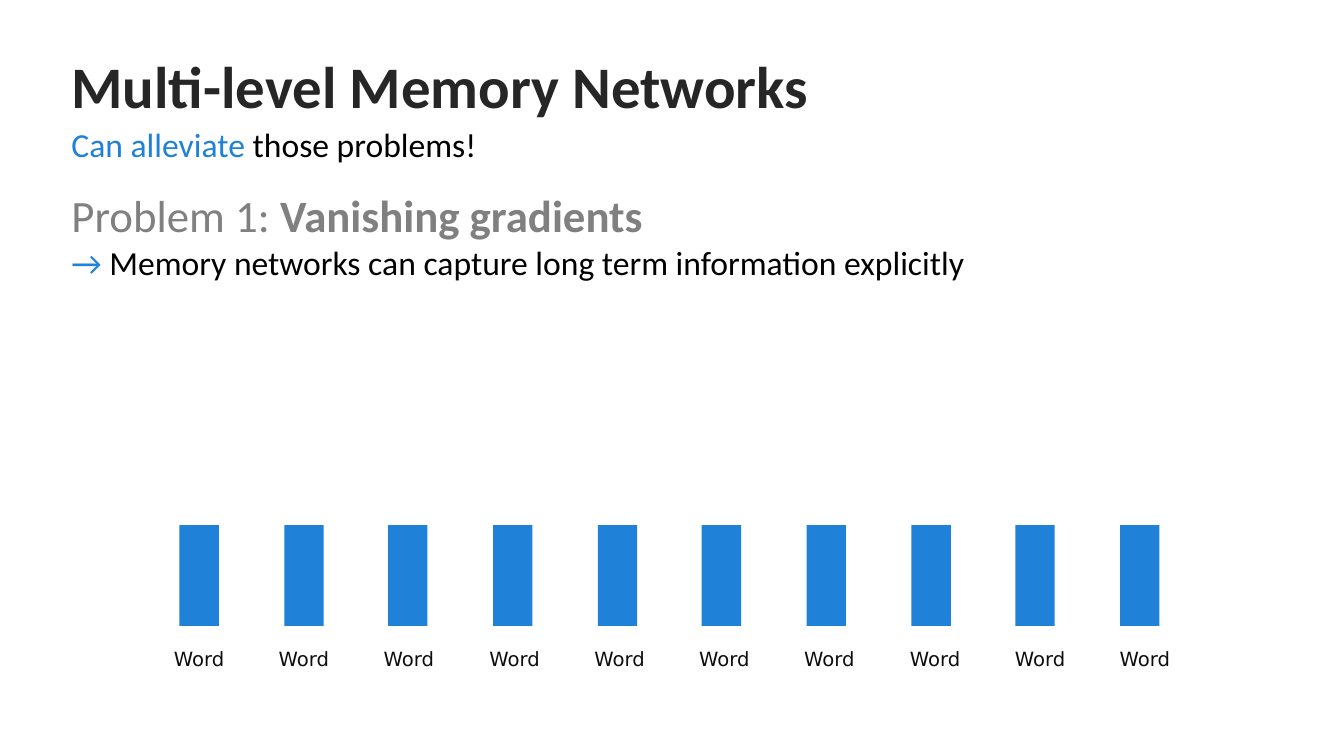
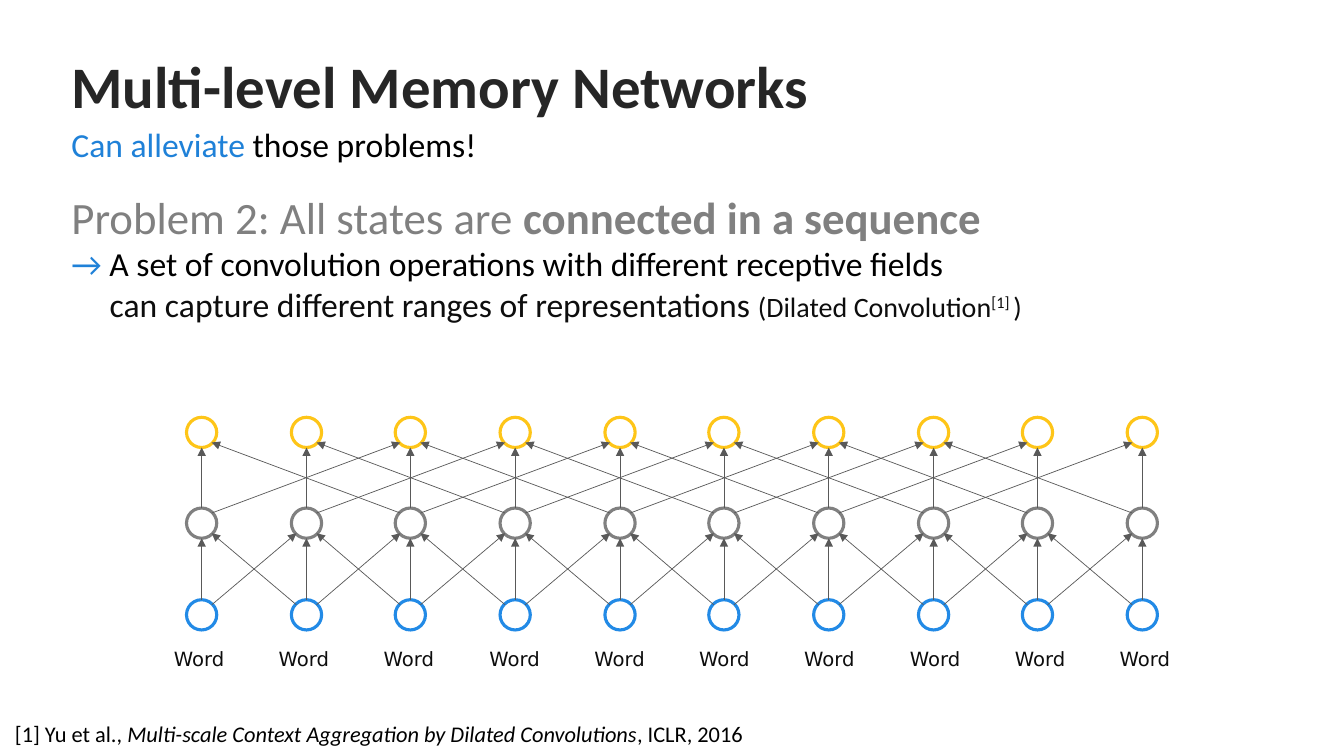
from dataclasses import dataclass

from lxml import etree
from pptx import Presentation
from pptx import util as u
from pptx.dml.color import RGBColor
from pptx.enum import shapes, text
from pptx.oxml.ns import qn

PX = 9144
COLUMNS = 10


@dataclass(frozen=True)
class Theme:
    body_font: str = "Calibri"
    label_font: str = "DejaVu Sans"
    title: str = "262626"
    heading: str = "808080"
    blue: str = "1F81D8"
    black: str = "000000"
    ink: str = "0D0D0D"
    white: str = "FFFFFF"
    input_ring: str = "228AE6"
    hidden_ring: str = "808080"
    output_ring: str = "FEC518"
    arrow: str = "595959"
    title_size: int = 42
    heading_size: int = 32
    body_size: int = 24
    aside_size: int = 20
    note_size: int = 16
    label_size: int = 14
    ring_width: float = 2.25
    arrow_width: float = 0.5


THEME = Theme()


def px(*lengths):
    return [u.Emu(length * PX) for length in lengths]


def spread(first, last):
    return [round(first + (last - first) * i / (COLUMNS - 1)) for i in range(COLUMNS)]


def words(content, size, color, bold=False, italic=False, raised=False):
    return content, size, color, bold, italic, raised


class Deck:
    """Holds the style and the current slide, and draws each kind of element."""

    def __init__(self, theme):
        self.theme = theme
        self.show = Presentation()
        self.show.slide_width, self.show.slide_height = px(1333, 750)
        self.slide = None

    def start(self, title, subtitle):
        self.slide = self.show.slides.add_slide(self.show.slide_layouts[5])
        heading = self.slide.shapes.title
        heading.left, heading.top, heading.width, heading.height = px(61, 34, 1229, 110)
        frame = heading.text_frame
        frame.auto_size = text.MSO_AUTO_SIZE.NONE
        frame.vertical_anchor = text.MSO_ANCHOR.MIDDLE
        t = self.theme
        self.add_words(frame.paragraphs[0], [words(title, t.title_size, t.title, bold=True)])
        frame.paragraphs[0].alignment = text.PP_ALIGN.LEFT
        frame.paragraphs[0].line_spacing = 0.9
        self.textbox((61, 118, 1129, 50), [subtitle], anchor=text.MSO_ANCHOR.MIDDLE)

    def add_words(self, paragraph, pieces, font=None):
        for content, size, color, bold, italic, raised in pieces:
            run = paragraph.add_run()
            run.text = content
            run.font.name = font or self.theme.body_font
            run.font.size = u.Pt(size)
            run.font.color.rgb = RGBColor.from_string(color)
            run.font.bold = bold
            run.font.italic = italic
            if raised:
                run._r.get_or_add_rPr().set("baseline", "30000")

    def textbox(self, box, lines, anchor=text.MSO_ANCHOR.TOP, wrap=True, font=None,
                align=text.PP_ALIGN.LEFT):
        frame = self.slide.shapes.add_textbox(*px(*box)).text_frame
        frame.word_wrap = wrap
        frame.auto_size = text.MSO_AUTO_SIZE.SHAPE_TO_FIT_TEXT
        frame.vertical_anchor = anchor
        for i, pieces in enumerate(lines):
            paragraph = frame.add_paragraph() if i else frame.paragraphs[0]
            paragraph.alignment = align
            self.add_words(paragraph, pieces, font)
        return frame

    def problem(self, box, lines):
        return self.textbox(box, lines, anchor=text.MSO_ANCHOR.MIDDLE)

    def indent(self, paragraph, distance):
        paragraph._p.get_or_add_pPr().set("marL", str(distance * PX))

    def shape(self, kind, box, fill, ring=None):
        item = self.slide.shapes.add_shape(kind, *px(*box))
        item.shadow.inherit = False
        item.fill.solid()
        item.fill.fore_color.rgb = RGBColor.from_string(fill)
        if ring:
            item.line.color.rgb = RGBColor.from_string(ring)
            item.line.width = u.Pt(self.theme.ring_width)
        else:
            item.line.fill.background()

    def arrow(self, start, end):
        link = self.slide.shapes.add_connector(
            shapes.MSO_CONNECTOR.STRAIGHT, *px(*start, *end))
        link.line.color.rgb = RGBColor.from_string(self.theme.arrow)
        link.line.width = u.Pt(self.theme.arrow_width)
        etree.SubElement(link.line._get_or_add_ln(), qn("a:tailEnd"), type="triangle")
        etree.SubElement(link._element.spPr, qn("a:effectLst"))

    def word_row(self):
        t = self.theme
        for left in spread(140, 1078):
            self.textbox((left, 637, 115, 34), [[words("Word", t.label_size, t.ink)]],
                         font=t.label_font, align=text.PP_ALIGN.CENTER)

    def bar_row(self):
        for left in spread(178, 1111):
            self.shape(shapes.MSO_SHAPE.RECTANGLE, (left, 521, 39, 100), self.theme.blue)

    def node_row(self, middle, ring):
        for center in spread(200, 1133):
            self.shape(shapes.MSO_SHAPE.OVAL, (center - 15, middle - 15, 30, 30),
                       self.theme.white, ring)

    def dilated_links(self, lower, upper, dilation):
        centers = spread(200, 1133)
        for target, x_end in enumerate(centers):
            for shift in (-dilation, 0, dilation):
                source = target + shift
                if not 0 <= source < COLUMNS:
                    continue
                side = (shift < 0) - (shift > 0)
                rise = 10 if side else 15
                self.arrow((centers[source] + side * 10, lower - rise),
                           (x_end - side * 10, upper + rise))


def main():
    t = THEME
    deck = Deck(t)
    title = "Multi-level Memory Networks"
    subtitle = [words("Can alleviate ", t.body_size, t.blue),
                words("those problems!", t.body_size, t.black)]
    pointer = words("→", t.body_size, t.blue)

    deck.start(title, subtitle)
    deck.problem((61, 181, 1129, 104), [
        [words("Problem 1: ", t.heading_size, t.heading),
         words("Vanishing gradients", t.heading_size, t.heading, bold=True)],
        [pointer, words(" Memory networks can capture long term information explicitly",
                        t.body_size, t.black)],
    ])
    deck.bar_row()
    deck.word_row()

    deck.start(title, subtitle)
    answer = deck.problem((61, 182, 1129, 145), [
        [words("Problem 2: All states are ", t.heading_size, t.heading),
         words("connected in a sequence", t.heading_size, t.heading, bold=True)],
        [pointer, words(" A set of convolution operations with different receptive fields",
                        t.body_size, t.black)],
        [words("can capture different ranges of representations ", t.body_size, t.ink),
         words("(Dilated Convolution", t.aside_size, t.ink),
         words("[1] ", t.aside_size, t.ink, raised=True),
         words(")", t.aside_size, t.ink)],
    ])
    deck.indent(answer.paragraphs[2], 38)
    inputs, hidden, outputs = 610, 519, 429
    deck.node_row(inputs, t.input_ring)
    deck.node_row(hidden, t.hidden_ring)
    deck.node_row(outputs, t.output_ring)
    deck.dilated_links(inputs, hidden, 1)
    deck.dilated_links(hidden, outputs, 2)
    deck.word_row()
    deck.textbox((5, 710, 745, 37), [[
        words("[1] Yu et al., ", t.note_size, t.black),
        words("Multi-scale Context Aggregation by Dilated Convolutions",
              t.note_size, t.black, italic=True),
        words(", ICLR, 2016", t.note_size, t.black),
    ]], wrap=False)
    deck.show.save("out.pptx")


if __name__ == "__main__":
    main()
